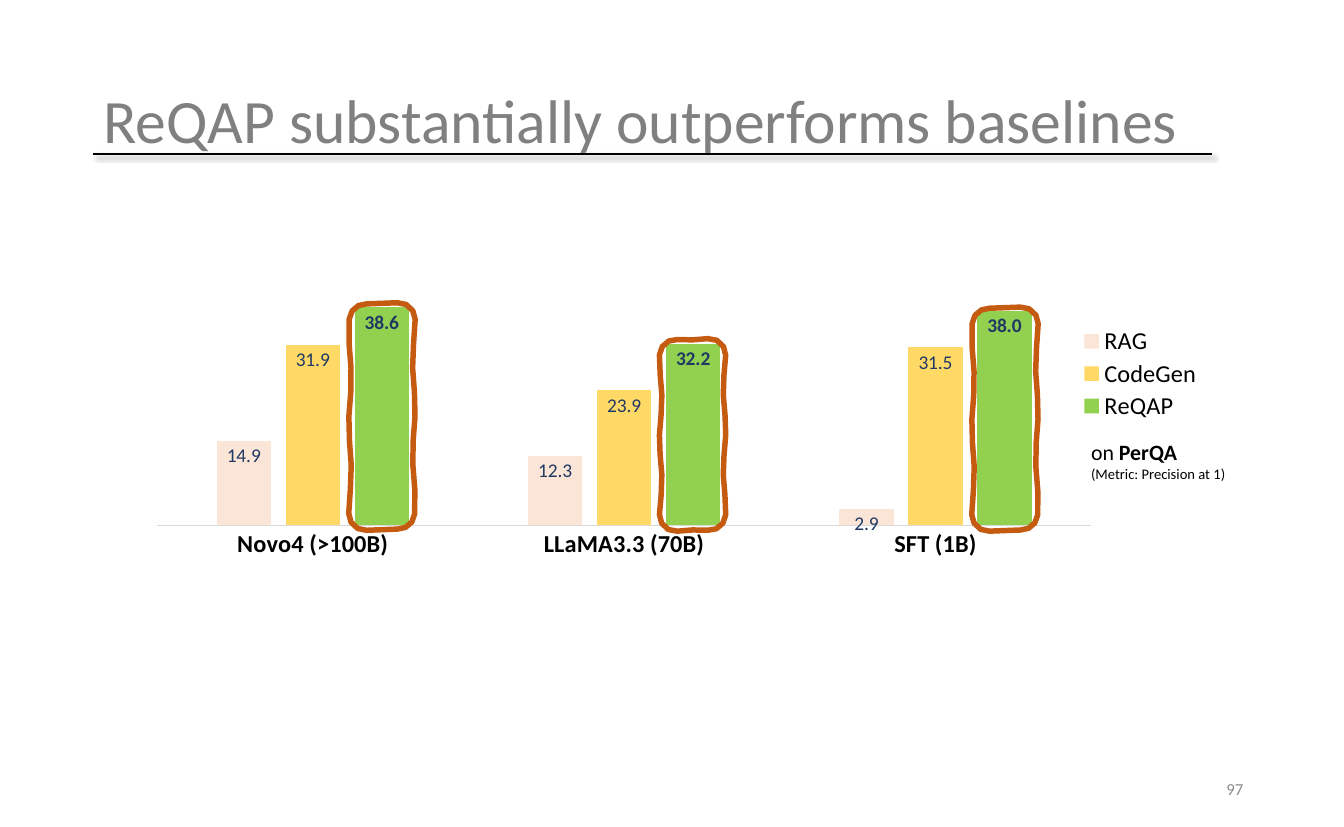
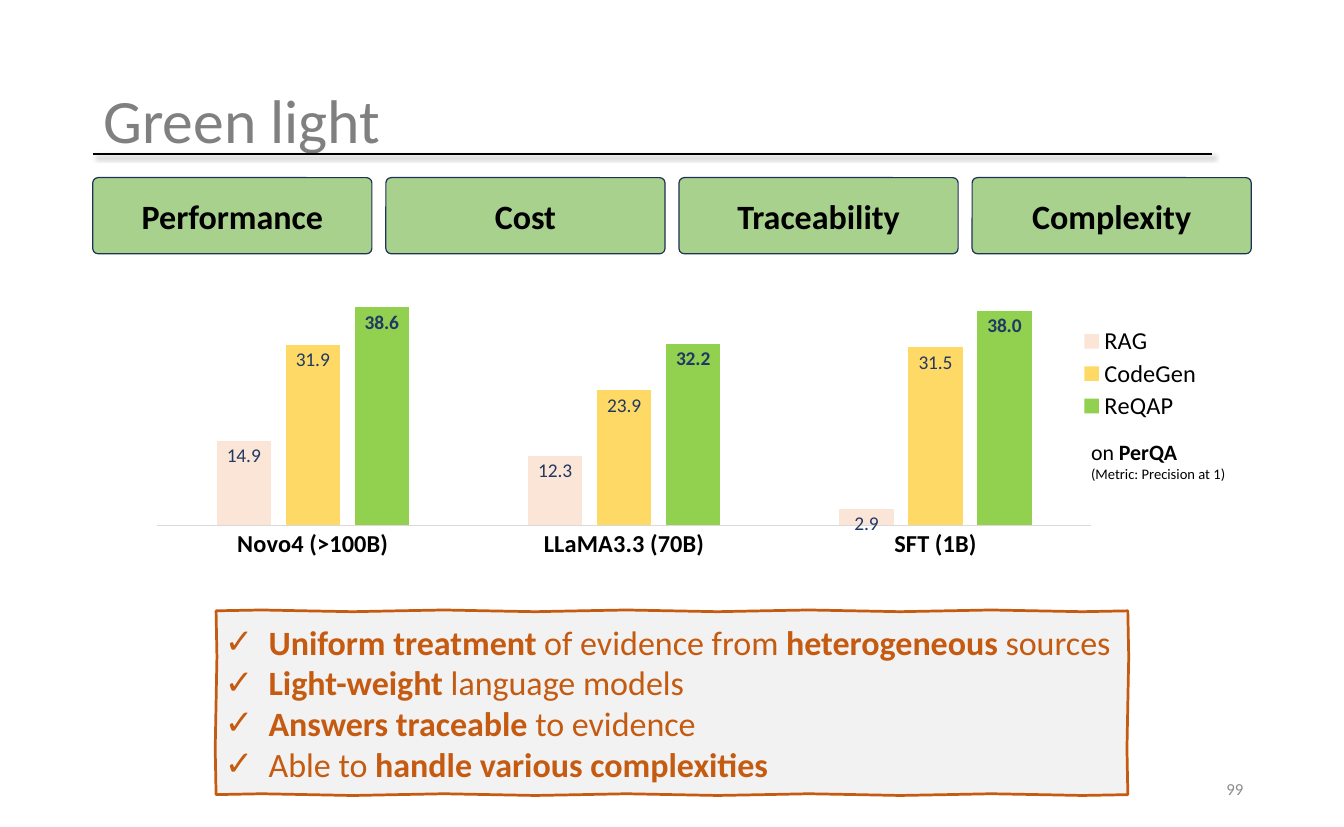
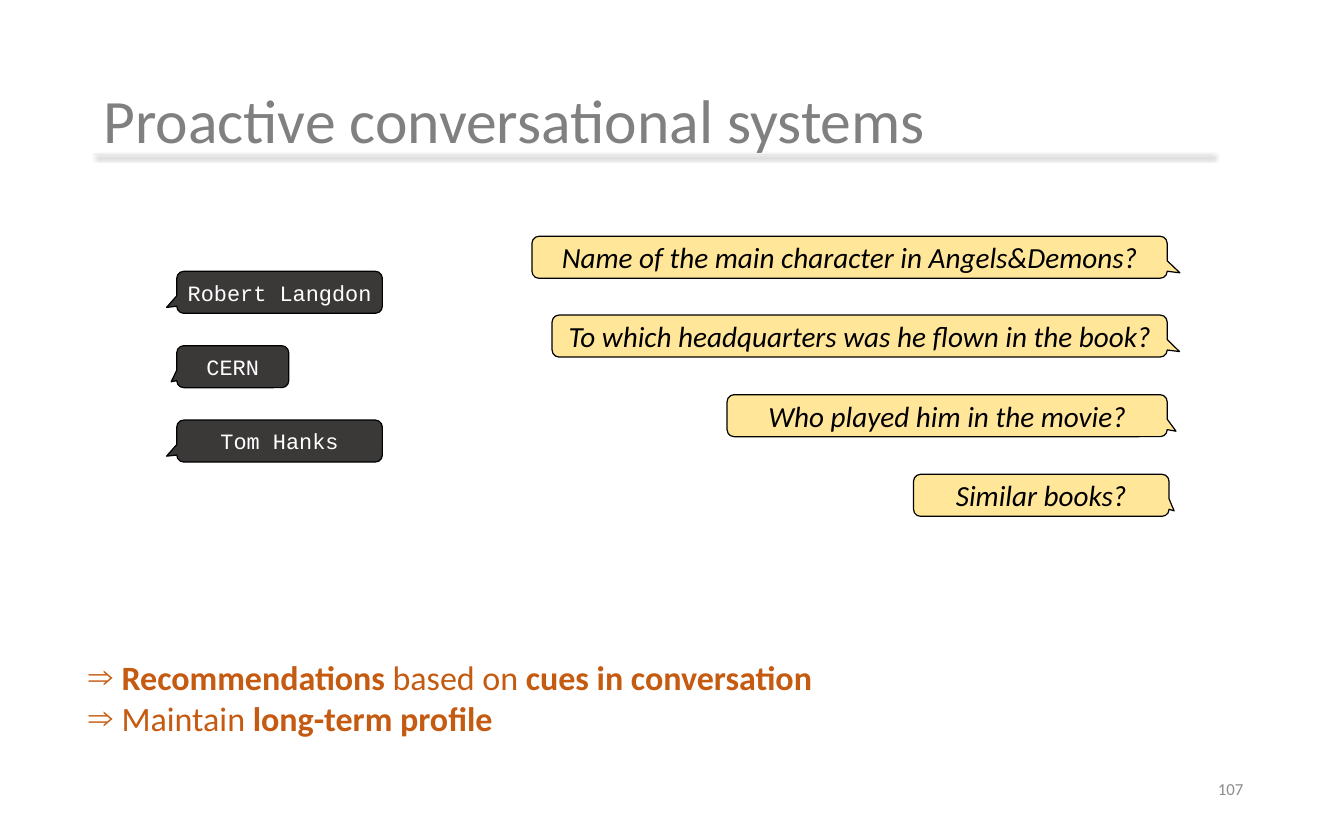
import math
from dataclasses import dataclass
from itertools import pairwise
from typing import NamedTuple

from lxml import etree
from pptx import Presentation
from pptx import util as u
from pptx.chart import data as chart_data
from pptx.dml import color
from pptx.enum import chart as chart_enum, shapes, text
from pptx.oxml import ns

PX = 9144
TITLE_AND_BODY, TITLE_ONLY = 1, 5
ALIGN = text.PP_ALIGN
ANCHOR = text.MSO_ANCHOR


@dataclass(frozen=True)
class Theme:
    sans: str = "Calibri"
    mono: str = "Courier New"
    black: str = "000000"
    white: str = "FFFFFF"
    title: str = "808080"
    page: str = "8C8C8C"
    pale: str = "E7E6E6"
    accent: str = "C55A11"
    panel: str = "F2F2F2"
    pill: str = "A9D18E"
    pill_edge: str = "1E3256"
    question: str = "FFE699"
    answer: str = "3B3838"
    value: str = "203864"
    axis: str = "D9D9D9"
    title_size: float = 50.7
    page_size: float = 13.8
    list_size: float = 28
    question_size: float = 24
    legend_size: float = 20
    base_size: float = 18
    value_size: float = 16
    metric_size: float = 12


THEME = Theme()


class Area(NamedTuple):
    left: int
    top: int
    width: int
    height: int

    def emu(self) -> list[u.Emu]:
        return [u.Emu(length * PX) for length in self]


class Span(NamedTuple):
    words: str
    bold: bool = False


class System(NamedTuple):
    name: str
    precision: tuple[float, ...]
    fill: str
    bold: bool = False


class Bubble(NamedTuple):
    words: str
    left: int
    width: int


@dataclass(frozen=True)
class Speaker:
    fill: str
    ink: str
    face: str
    size: float
    italic: bool
    tail: tuple[float, float]
    first_top: int
    thirds_of_step: int
    bubbles: tuple[Bubble, ...]


MODELS = ("Novo4 (>100B)", "LLaMA3.3 (70B)", "SFT (1B)")
SYSTEMS = (
    System("RAG", (14.9, 12.3, 2.9), "FBE5D6"),
    System("CodeGen", (31.9, 23.9, 31.5), "FFD966"),
    System("ReQAP", (38.6, 32.2, 38.0), "92D050", bold=True),
)
WINNERS = (Area(400, 346, 73, 260), Area(755, 387, 73, 220), Area(1112, 351, 73, 256))
CRITERIA = ("Performance", "Cost", "Traceability", "Complexity")
STRENGTHS = (
    (Span("Uniform treatment", True), Span(" of evidence from "),
     Span("heterogeneous", True), Span(" sources")),
    (Span("Light-weight", True), Span(" language models")),
    (Span("Answers traceable ", True), Span("to evidence")),
    (Span("Able to"), Span(" handle various complexities", True)),
)
OUTLOOK = (
    (Span("Recommendations ", True), Span("based on"), Span(" cues in conversation", True)),
    (Span("Maintain"), Span(" long-term profile", True)),
)
SPEAKERS = (
    Speaker(THEME.question, THEME.black, THEME.sans, THEME.question_size, True,
            (0.52, 0.37), 270, 272, (
                Bubble("Name of the main character in Angels&Demons?", 608, 726),
                Bubble("To which headquarters was he flown in the book?", 631, 703),
                Bubble("Who played him in the movie?", 831, 503),
                Bubble("Similar books?", 1044, 292),
            )),
    Speaker(THEME.answer, THEME.white, THEME.mono, THEME.base_size, False,
            (-0.55, 0.36), 310, 255, (
                Bubble("Robert Langdon", 202, 235),
                Bubble("CERN", 202, 128),
                Bubble("Tom Hanks", 202, 235),
            )),
)


def rgb(code: str) -> color.RGBColor:
    return color.RGBColor.from_string(code)


def set_font(font, size: float, ink: str, face: str = THEME.sans,
             bold: bool = False, italic: bool = False) -> None:
    font.name, font.size = face, u.Pt(size)
    font.bold, font.italic = bold, italic
    font.color.rgb = rgb(ink)


def set_frame(frame, anchor, wrap: bool = True) -> None:
    frame.word_wrap = wrap
    frame.auto_size = text.MSO_AUTO_SIZE.NONE
    frame.vertical_anchor = anchor


def place(part, area: Area) -> None:
    part.left, part.top, part.width, part.height = area.emu()


def set_line(line, ink: str, width: float) -> None:
    line.color.rgb = rgb(ink)
    line.width = u.Pt(width)


def add_spans(paragraph, spans: tuple[Span, ...]) -> None:
    for span in spans:
        run = paragraph.add_run()
        run.text, run.font.bold = span.words, span.bold


def add_label(slide, area: Area, anchor):
    label = slide.shapes.add_textbox(*area.emu()).text_frame
    set_frame(label, anchor)
    return label


def add_title_rule(slide, top: int, ink: str) -> None:
    rule = slide.shapes.add_connector(
        shapes.MSO_CONNECTOR.STRAIGHT, *(u.Emu(v * PX) for v in (106, top, 1385, top)))
    set_line(rule.line, ink, 1)
    effects = etree.SubElement(rule.element.spPr, ns.qn("a:effectLst"))
    shadow = etree.SubElement(effects, ns.qn("a:outerShdw"), blurRad="50800",
                              dist="38100", dir="2700000", algn="tl", rotWithShape="0")
    tint = etree.SubElement(shadow, ns.qn("a:srgbClr"), val=THEME.black)
    etree.SubElement(tint, ns.qn("a:alpha"), val="40000")


def start_slide(deck, layout: int, heading: str, page: int,
                rule_top: int = 176, rule_ink: str = THEME.black):
    slide = deck.slides.add_slide(deck.slide_layouts[layout])
    title = slide.shapes.title
    place(title, Area(106, 50, 1324, 183))
    frame = title.text_frame
    set_frame(frame, ANCHOR.MIDDLE)
    frame.margin_left = frame.margin_right = u.Emu(12 * PX)
    frame.margin_top = frame.margin_bottom = u.Emu(6 * PX)
    frame.text = heading
    line = frame.paragraphs[0]
    line.alignment, line.line_spacing = ALIGN.LEFT, 0.9
    set_font(line.font, THEME.title_size, THEME.title)
    add_title_rule(slide, rule_top, rule_ink)

    number = add_label(slide, Area(1085, 876, 346, 50), ANCHOR.MIDDLE)
    number.text = str(page)
    number.paragraphs[0].alignment = ALIGN.RIGHT
    set_font(number.paragraphs[0].font, THEME.page_size, THEME.page)
    return slide


def fill_list(slide, area: Area, points, mark: str, indent: int, anchor):
    body = slide.placeholders[1]
    place(body, area)
    frame = body.text_frame
    set_frame(frame, anchor)
    for index, spans in enumerate(points):
        point = frame.paragraphs[0] if index == 0 else frame.add_paragraph()
        properties = point._p.get_or_add_pPr()
        properties.set("marL", str(indent * PX))
        properties.set("indent", str(-indent * PX))
        etree.SubElement(properties, ns.qn("a:buChar"), char=mark)
        point.alignment, point.space_before = ALIGN.LEFT, u.Pt(0)
        set_font(point.font, THEME.list_size, THEME.accent)
        add_spans(point, spans)
    return body


def rounded_corners(area: Area, radius: int) -> list[tuple[float, float]]:
    left, top, width, height = area
    right, bottom = left + width, top + height
    centres = ((right - radius, top + radius), (right - radius, bottom - radius),
               (left + radius, bottom - radius), (left + radius, top + radius))
    outline = []
    for quarter, (x, y) in enumerate(centres):
        for step in range(4 if radius else 1):
            angle = math.radians(90 * quarter - 90 + 30 * step)
            outline.append((x + radius * math.cos(angle), y + radius * math.sin(angle)))
    return outline + outline[:1]


def add_sketch(slide, area: Area, radius: int, sway: float, waves: int, width: float) -> None:
    corners = rounded_corners(area, radius)
    perimeter = sum(math.dist(a, b) for a, b in pairwise(corners))
    walked, stroke = 0.0, []
    for (x1, y1), (x2, y2) in pairwise(corners):
        length = math.hypot(x2 - x1, y2 - y1)
        steps = max(1, round(4 * waves * length / perimeter))
        for step in range(steps):
            share = step / steps
            phase = math.tau * waves * (walked + share * length) / perimeter
            drift = sway * math.sin(phase) / length
            stroke.append(((x1 + share * (x2 - x1) + drift * (y2 - y1)) * PX,
                           (y1 + share * (y2 - y1) - drift * (x2 - x1)) * PX))
        walked += length
    builder = slide.shapes.build_freeform(*stroke[0], scale=1.0)
    builder.add_line_segments(stroke[1:], close=True)
    sketch = builder.convert_to_shape()
    sketch.shadow.inherit = False
    sketch.fill.background()
    set_line(sketch.line, THEME.accent, width)


def set_layout(part, position: int, **settings: str) -> None:
    for old in part.findall(ns.qn("c:layout")):
        part.remove(old)
    layout = etree.Element(ns.qn("c:layout"))
    manual = etree.SubElement(layout, ns.qn("c:manualLayout"))
    for key, value in settings.items():
        etree.SubElement(manual, ns.qn(f"c:{key}"), val=value)
    part.insert(position, layout)


def add_results(slide) -> None:
    results = chart_data.CategoryChartData(number_format="#,##0.0")
    results.categories = MODELS
    for system in SYSTEMS:
        results.add_series(system.name, system.precision)
    chart = slide.shapes.add_chart(chart_enum.XL_CHART_TYPE.COLUMN_CLUSTERED,
                                   *Area(179, 225, 1222, 454).emu(), results).chart
    chart.has_title = False
    set_font(chart.font, THEME.base_size, THEME.value)

    models = chart.category_axis
    models.major_tick_mark = chart_enum.XL_TICK_MARK.NONE
    set_font(models.tick_labels.font, THEME.legend_size, THEME.black, bold=True)
    set_line(models.format.line, THEME.axis, 0.75)
    precision = chart.value_axis
    precision.minimum_scale, precision.maximum_scale = 0, 55
    precision.has_major_gridlines = False
    precision.visible = False

    plot = chart.plots[0]
    plot.gap_width, plot.overlap, plot.vary_by_categories = 219, -27, False
    for system, bars in zip(SYSTEMS, plot.series):
        bars.format.fill.solid()
        bars.format.fill.fore_color.rgb = rgb(system.fill)
        values = bars.data_labels
        values.show_value = True
        values.number_format, values.number_format_is_linked = "#,##0.0", False
        values.position = chart_enum.XL_LABEL_POSITION.INSIDE_END
        set_font(values.font, THEME.value_size, THEME.value, bold=system.bold)

    chart.has_legend = True
    chart.legend.position = chart_enum.XL_LEGEND_POSITION.RIGHT
    chart.legend.include_in_layout = True
    set_font(chart.legend.font, THEME.legend_size, THEME.black)
    root = chart.element
    set_layout(root.find(".//" + ns.qn("c:plotArea")), 0, layoutTarget="inner",
               xMode="edge", yMode="edge", x="0", y="0.045", w="0.874", h="0.782")
    set_layout(root.find(".//" + ns.qn("c:legend")), 1,
               xMode="edge", yMode="edge", x="0.86", y="0.32", w="0.12", h="0.25")

    benchmark = add_label(slide, Area(1237, 496, 279, 86), ANCHOR.TOP).paragraphs[0]
    set_font(benchmark.font, THEME.base_size, THEME.black)
    add_spans(benchmark, (Span("on "), Span("PerQA", True)))
    benchmark.add_line_break()
    metric = benchmark.add_run()
    metric.text = "(Metric: Precision at 1)"
    metric.font.size = u.Pt(THEME.metric_size)


def add_box(slide, kind, area: Area, words: str, fill: str, edge: str):
    box = slide.shapes.add_shape(kind, *area.emu())
    box.shadow.inherit = False
    box.fill.solid()
    box.fill.fore_color.rgb = rgb(fill)
    set_line(box.line, edge, 1)
    set_frame(box.text_frame, ANCHOR.MIDDLE, wrap=False)
    box.text_frame.text = words
    box.text_frame.paragraphs[0].alignment = ALIGN.CENTER
    return box


def add_criteria(slide) -> None:
    for column, criterion in enumerate(CRITERIA):
        pill = add_box(slide, shapes.MSO_SHAPE.ROUNDED_RECTANGLE,
                       Area(106 + 335 * column, 203, 319, 87),
                       criterion, THEME.pill, THEME.pill_edge)
        pill.adjustments[0] = 0.07
        set_font(pill.text_frame.paragraphs[0].font, THEME.list_size, THEME.black, bold=True)


def add_turns(slide, speaker: Speaker) -> None:
    for turn, bubble in enumerate(speaker.bubbles):
        top = speaker.first_top + speaker.thirds_of_step * turn // 3
        balloon = add_box(slide, shapes.MSO_SHAPE.ROUNDED_RECTANGULAR_CALLOUT,
                          Area(bubble.left, top, bubble.width, 48),
                          bubble.words, speaker.fill, THEME.black)
        balloon.adjustments[0], balloon.adjustments[1] = speaker.tail
        set_font(balloon.text_frame.paragraphs[0].font, speaker.size, speaker.ink,
                 speaker.face, italic=speaker.italic)


def build_outperforms(deck) -> None:
    slide = start_slide(deck, TITLE_ONLY, "ReQAP substantially outperforms baselines", 97)
    add_results(slide)
    for winner in WINNERS:
        add_sketch(slide, winner, radius=19, sway=1.5, waves=6, width=4.5)


def build_green_light(deck) -> None:
    slide = start_slide(deck, TITLE_AND_BODY, "Green light", 99)
    add_criteria(slide)
    panel = Area(247, 698, 1042, 210)
    strengths = fill_list(slide, panel, STRENGTHS, "✓", 50, ANCHOR.MIDDLE)
    strengths.fill.solid()
    strengths.fill.fore_color.rgb = rgb(THEME.panel)
    add_sketch(slide, panel, radius=0, sway=1, waves=12, width=2.25)
    add_results(slide)


def build_proactive(deck) -> None:
    slide = start_slide(deck, TITLE_AND_BODY, "Proactive conversational systems", 107,
                        rule_top=177, rule_ink=THEME.pale)
    for speaker in SPEAKERS:
        add_turns(slide, speaker)
    fill_list(slide, Area(91, 745, 1308, 104), OUTLOOK, "⇒", 38, ANCHOR.TOP)


def main() -> None:
    deck = Presentation()
    deck.slide_width, deck.slide_height = u.Emu(1536 * PX), u.Emu(945 * PX)
    for build in (build_outperforms, build_green_light, build_proactive):
        build(deck)
    deck.save("out.pptx")


if __name__ == "__main__":
    main()
